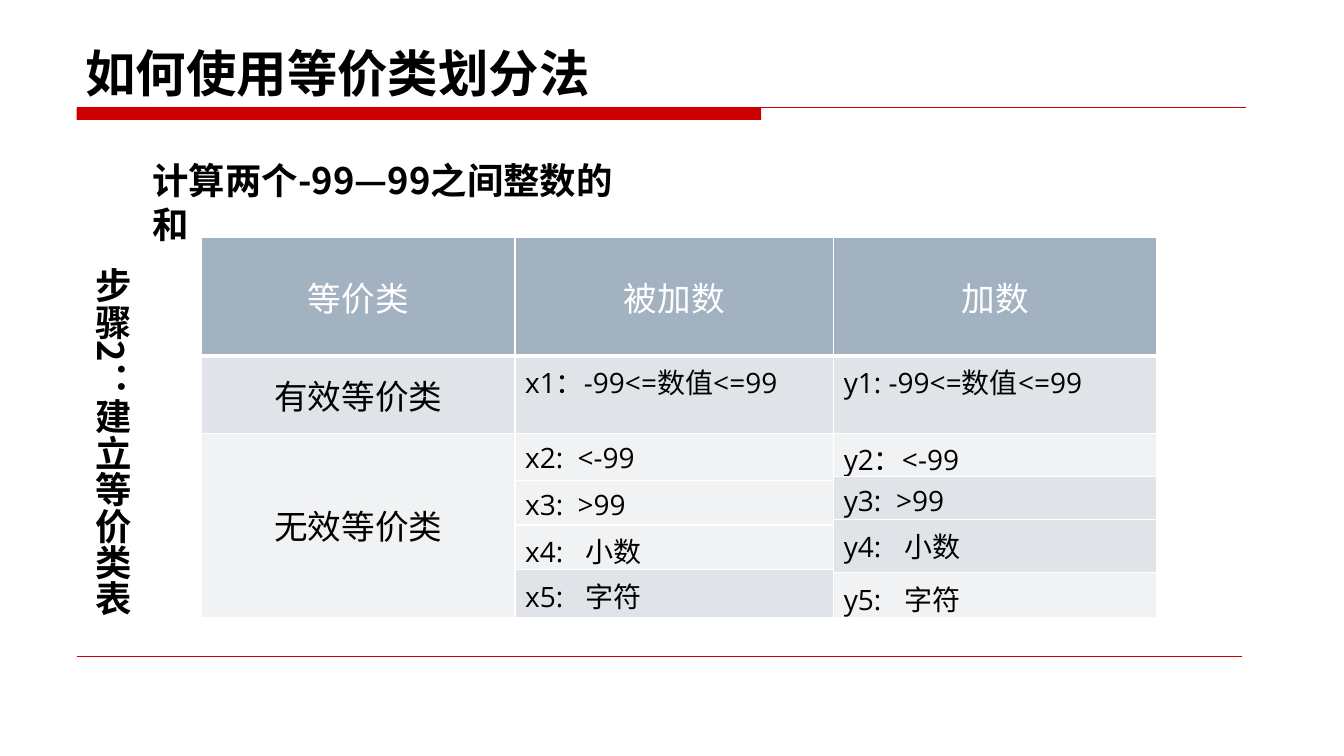
from dataclasses import dataclass

from lxml import etree
from pptx import Presentation
from pptx.dml.color import RGBColor
from pptx.enum.shapes import MSO_CONNECTOR, MSO_SHAPE
from pptx.enum.text import MSO_ANCHOR, PP_ALIGN
from pptx.oxml.ns import qn
from pptx.util import Cm, Pt

CJK, LATIN = "Noto Sans CJK SC", "Open Sans"
RED, BLACK, WHITE = "CC0000", "000000", "FFFFFF"
HEADER, DARK_BAND, LIGHT_BAND = "A3B2C1", "E0E4E9", "F0F2F4"
NUMBER_TAB, WORD_TAB = 1.32, 1.52


@dataclass
class Entry:
    """One table cell; lengths are in cm."""
    row: int
    col: int
    text: str
    fill: str
    rows: int = 1
    heading: bool = False
    color: str = BLACK
    tab: float = 0


def rgb(value: str) -> RGBColor:
    return RGBColor.from_string(value)


def write(paragraph, text: str, size: float, color: str,
          font: str = CJK, bold: bool = False) -> None:
    run = paragraph.add_run()
    run.text = text
    run.font.size, run.font.bold, run.font.name = Pt(size), bold, font
    run.font.color.rgb = rgb(color)
    etree.SubElement(run.font._element, qn("a:ea"), typeface=CJK)


def place(shape, left: float, top: float, width: float, height: float) -> None:
    shape.left, shape.top = Cm(left), Cm(top)
    shape.width, shape.height = Cm(width), Cm(height)


def add_rule(slide, top: float, right: float, weight: float) -> None:
    line = slide.shapes.add_connector(
        MSO_CONNECTOR.STRAIGHT, Cm(1.93), Cm(top), Cm(right), Cm(top))
    line.line.color.rgb, line.line.width = rgb(RED), Pt(weight)
    etree.SubElement(line._element.spPr, qn("a:effectLst"))


def add_label(slide, text: str, box: tuple, indent: float = 0,
              vertical: bool = False) -> None:
    label = slide.shapes.add_textbox(*map(Cm, box))
    frame = label.text_frame
    frame.word_wrap = True
    if vertical:
        frame._txBody.bodyPr.set("vert", "eaVert")
    paragraph = frame.paragraphs[0]
    paragraph._p.get_or_add_pPr().set("marL", str(Cm(indent)))
    write(paragraph, text, 26, BLACK, bold=True)


def set_borders(cell, row: int) -> None:
    properties = cell._tc.get_or_add_tcPr()
    thick = {0: "lnB", 1: "lnT"}.get(row)
    for index, side in enumerate(("lnL", "lnR", "lnT", "lnB")):
        border = etree.Element(qn(f"a:{side}"), w=str(Pt(3 if side == thick else 1)))
        fill = etree.SubElement(border, qn("a:solidFill"))
        etree.SubElement(fill, qn("a:srgbClr"), val=WHITE)
        properties.insert(index, border)


def fill_cell(table, entry: Entry) -> None:
    last = entry.row + entry.rows - 1
    for row in range(entry.row, last + 1):
        cell = table.cell(row, entry.col)
        cell.fill.solid()
        cell.fill.fore_color.rgb = rgb(entry.fill)
        set_borders(cell, row)
        cell.margin_bottom = 0
        if row > entry.row:
            cell.margin_top = 0
            etree.SubElement(cell.text_frame.paragraphs[0]._p,
                             qn("a:endParaRPr"), sz="100")
    cell = table.cell(entry.row, entry.col)
    if entry.rows > 1:
        cell.merge(table.cell(last, entry.col))
    paragraph = cell.text_frame.paragraphs[0]
    if entry.heading:
        cell.vertical_anchor = MSO_ANCHOR.MIDDLE
        cell.margin_bottom = cell.margin_top = Cm(0.13)
        paragraph.alignment = PP_ALIGN.CENTER
    if entry.tab:
        stops = etree.SubElement(paragraph._p.get_or_add_pPr(), qn("a:tabLst"))
        etree.SubElement(stops, qn("a:tab"), pos=str(Cm(entry.tab)), algn="l")
    write(paragraph, entry.text, 24 if entry.heading else 20, entry.color, LATIN)


prs = Presentation()
prs.slide_width, prs.slide_height = Cm(33.87), Cm(19.05)
slide = prs.slides.add_slide(prs.slide_layouts[5])

# Header bar and rules
bar = slide.shapes.add_shape(MSO_SHAPE.RECTANGLE, Cm(1.93), Cm(2.72), Cm(17.25), Cm(0.3))
bar.shadow.inherit = False
bar.fill.solid()
bar.fill.fore_color.rgb = rgb(RED)
bar.line.fill.background()
add_rule(slide, 2.72, 31.39, 0.75)
add_rule(slide, 16.54, 31.29, 0.25)

# Title and labels
title = slide.shapes.title
place(title, 1.9, 0.71, 29.64, 2.01)
title.text_frame.vertical_anchor = MSO_ANCHOR.BOTTOM
heading = title.text_frame.paragraphs[0]
heading.alignment = PP_ALIGN.LEFT
write(heading, "如何使用等价类划分法", 36, BLACK, bold=True)
add_label(slide, "计算两个-99—99之间整数的和", (2.32, 3.86, 13.94, 1.37), indent=1.27)
add_label(slide, "步骤2：建立等价类表", (1.88, 6.5, 1.63, 10.2), vertical=True)

# Equivalence class table: the two value columns split the last rows differently
COLUMN_WIDTHS = (7.9, 8.03, 8.13)
ROW_HEIGHTS = (3, 1.95, 1.09, 0.1, 0.99, 0.13, 1.12, 0.08, 1.12)
ENTRIES = [
    *(Entry(0, col, text, HEADER, heading=True, color=WHITE)
      for col, text in enumerate(("等价类", "被加数", "加数"))),
    Entry(1, 0, "有效等价类", DARK_BAND, heading=True),
    Entry(1, 1, "x1：-99<=数值<=99", DARK_BAND),
    Entry(1, 2, "y1: -99<=数值<=99", DARK_BAND),
    Entry(2, 0, "无效等价类", LIGHT_BAND, rows=7, heading=True),
    Entry(2, 1, "x2:\t<-99", LIGHT_BAND, rows=2, tab=NUMBER_TAB),
    Entry(4, 1, "x3:\t>99", LIGHT_BAND, rows=2, tab=NUMBER_TAB),
    Entry(6, 1, "x4:\t小数", LIGHT_BAND, tab=WORD_TAB),
    Entry(7, 1, "x5:\t字符", DARK_BAND, rows=2, tab=WORD_TAB),
    Entry(2, 2, "y2：<-99", LIGHT_BAND),
    Entry(3, 2, "y3:\t>99", DARK_BAND, rows=2, tab=NUMBER_TAB),
    Entry(5, 2, "y4:\t小数", DARK_BAND, rows=3, tab=WORD_TAB),
    Entry(8, 2, "y5:\t字符", LIGHT_BAND, tab=WORD_TAB),
]
table = slide.shapes.add_table(
    len(ROW_HEIGHTS), len(COLUMN_WIDTHS), Cm(5.08), Cm(5.97),
    Cm(sum(COLUMN_WIDTHS)), Cm(sum(ROW_HEIGHTS))).table
for column, width in zip(table.columns, COLUMN_WIDTHS):
    column.width = Cm(width)
for row, height in zip(table.rows, ROW_HEIGHTS):
    row.height = Cm(height)
for entry in ENTRIES:
    fill_cell(table, entry)

prs.save("out.pptx")
